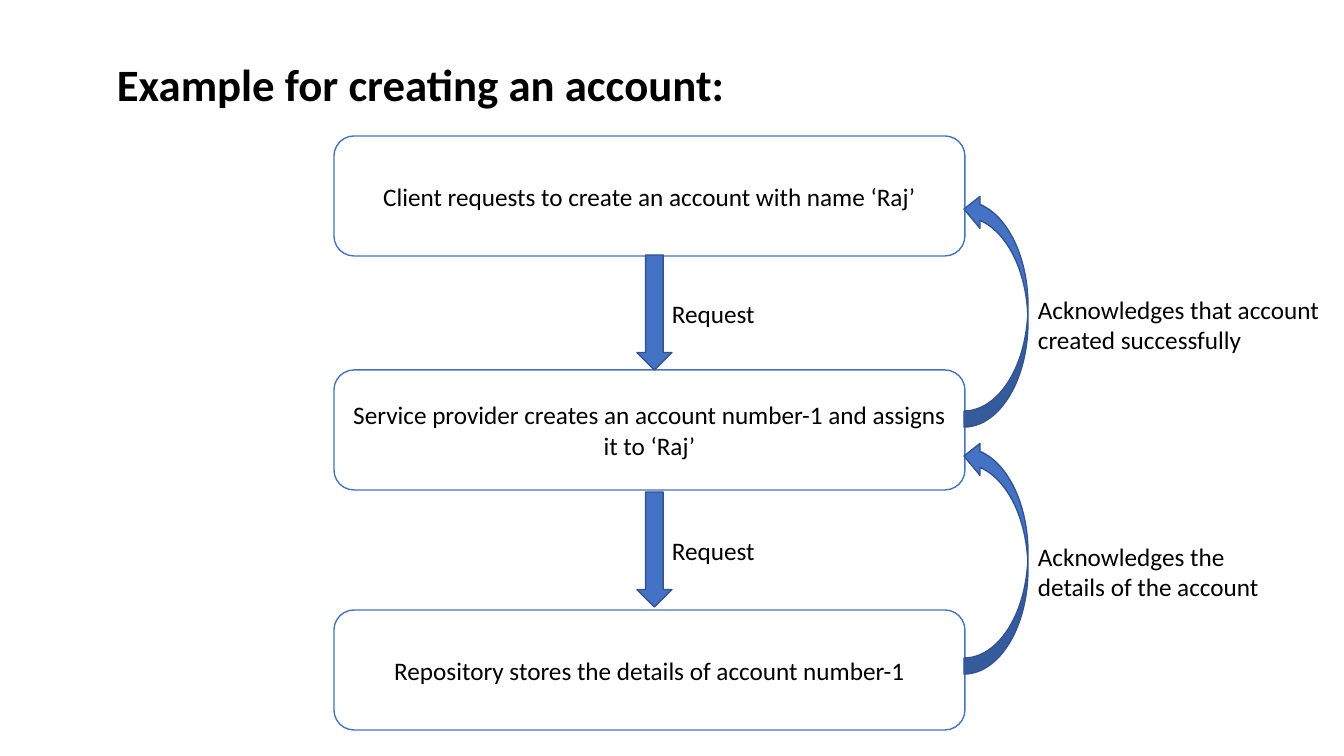
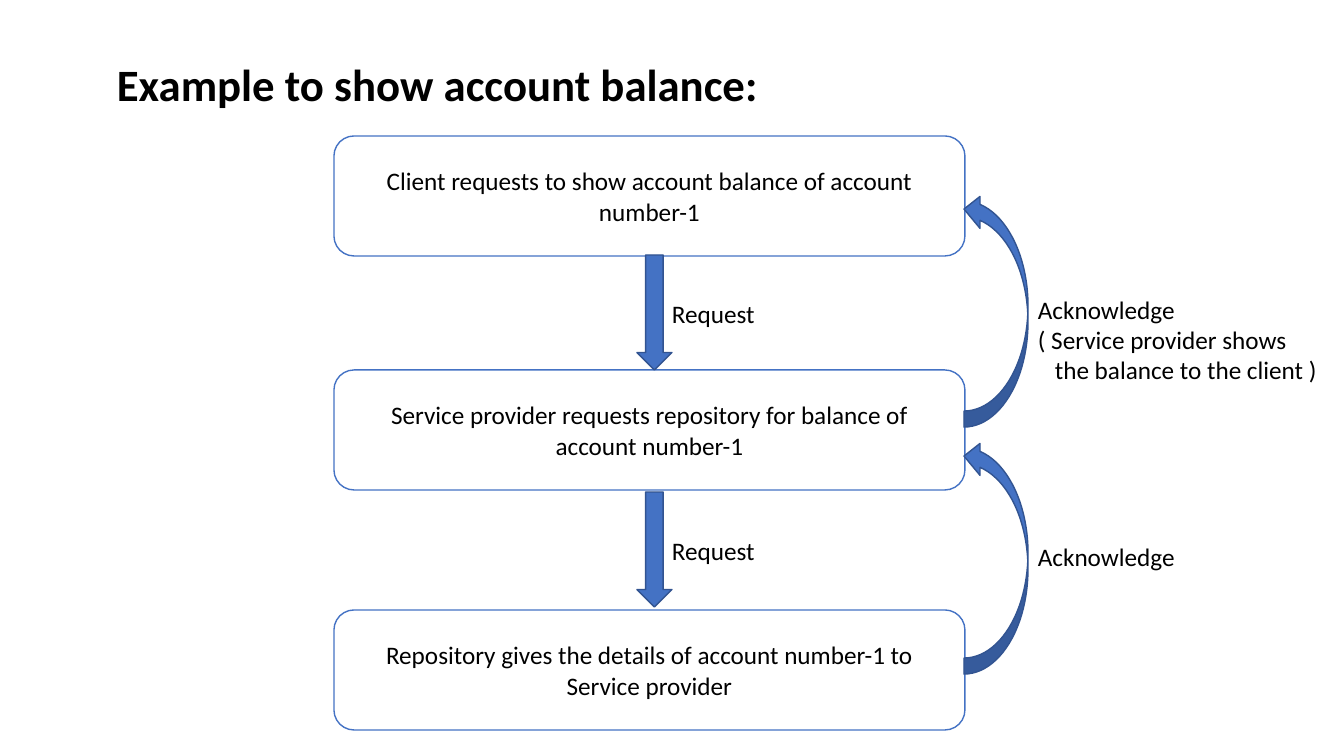
from pptx import Presentation
from pptx.dml.color import RGBColor
from pptx.enum.shapes import MSO_SHAPE as Shape
from pptx.enum.text import MSO_ANCHOR as Anchor, PP_ALIGN as Align
from pptx.util import Pt

BLACK = RGBColor(0x00, 0x00, 0x00)
WHITE = RGBColor(0xFF, 0xFF, 0xFF)
BLUE = RGBColor(0x44, 0x72, 0xC4)
DARK_BLUE = RGBColor(0x32, 0x54, 0x91)
FONT = "Calibri"

SLIDES = [
    {
        "title": "Example for creating an account:",
        "steps": [
            "Client requests to create an account with name ‘Raj’",
            "Service provider creates an account number-1 and assigns it to ‘Raj’",
            "Repository stores the details of account number-1",
        ],
        "replies": [
            (310, [("Acknowledges that account", 0), ("created successfully", 0)]),
            (244, [("Acknowledges the", 0), ("details of the account", 0)]),
        ],
    },
    {
        "title": "Example to show account balance:",
        "steps": [
            "Client requests to show account balance of account number-1",
            "Service provider requests repository for balance of account number-1",
            "Repository gives the details of account number-1 to Service provider",
        ],
        "replies": [
            (303, [("Acknowledge", 0), ("( Service provider shows", 0),
                   ("the balance to the client )", 17)]),
            (160, [("Acknowledge", 0)]),
        ],
    },
]

STEP_TOPS = (136, 370, 610)
STEP_LEFT, STEP_WIDTH, STEP_HEIGHT = 334, 631, 120
REQUEST_TOPS = (255, 492)
REPLY_TOPS = (193, 440)
REPLY_LEFT, REPLY_RIGHT = 964, 1028
LINE_HEIGHT, LABEL_PADDING = 31, 9


def px(value):
    return round(value * 914400 / 100.8)


def style_text(para, size, bold=False):
    para.font.name = FONT
    para.font.size = Pt(size)
    para.font.bold = bold
    para.font.color.rgb = BLACK


def add_text(page, place, lines, size=18, bold=False, anchor=Anchor.TOP):
    box = page.shapes.add_textbox(*map(px, place))
    frame = box.text_frame
    frame.word_wrap = True
    frame.vertical_anchor = anchor
    for index, (text, indent) in enumerate(lines):
        para = frame.add_paragraph() if index else frame.paragraphs[0]
        para.text = text
        style_text(para, size, bold)
        if indent:
            para._p.get_or_add_pPr().set("marL", str(px(indent)))


def add_shape(page, kind, place, fill, line):
    shape = page.shapes.add_shape(kind, *map(px, place))
    shape.shadow.inherit = False
    shape.fill.solid()
    shape.fill.fore_color.rgb = fill
    shape.line.color.rgb = line
    shape.line.width = Pt(1)
    return shape


def add_step(page, top, text):
    place = (STEP_LEFT, top, STEP_WIDTH, STEP_HEIGHT)
    step = add_shape(page, Shape.FLOWCHART_ALTERNATE_PROCESS, place, WHITE, BLUE)
    frame = step.text_frame
    frame.word_wrap = True
    frame.vertical_anchor = Anchor.MIDDLE
    para = frame.paragraphs[0]
    para.text = text
    para.alignment = Align.CENTER
    style_text(para, 18)


def add_label(page, left, top, width, lines):
    height = LINE_HEIGHT * len(lines) + LABEL_PADDING
    add_text(page, (left, top, width, height), lines)


def build_page(deck, content):
    page = deck.slides.add_slide(deck.slide_layouts[6])
    add_text(page, (93, 42, 1159, 83), [(content["title"], 14)], 32, True, Anchor.MIDDLE)
    for top, text in zip(STEP_TOPS, content["steps"]):
        add_step(page, top, text)
    for top in REQUEST_TOPS:
        add_shape(page, Shape.DOWN_ARROW, (637, top, 35, 115), BLUE, DARK_BLUE)
        add_label(page, 662, top + 38, 106, [("Request", 0)])
    for top, (width, lines) in zip(REPLY_TOPS, content["replies"]):
        place = (REPLY_LEFT, top, REPLY_RIGHT - REPLY_LEFT, 234)
        arrow = add_shape(page, Shape.CURVED_RIGHT_ARROW, place, BLUE, DARK_BLUE)
        arrow.rotation = 180
        add_label(page, REPLY_RIGHT, top + 96, width, lines)


deck = Presentation()
deck.slide_width, deck.slide_height = px(1344), px(756)
for content in SLIDES:
    build_page(deck, content)
deck.save("out.pptx")
